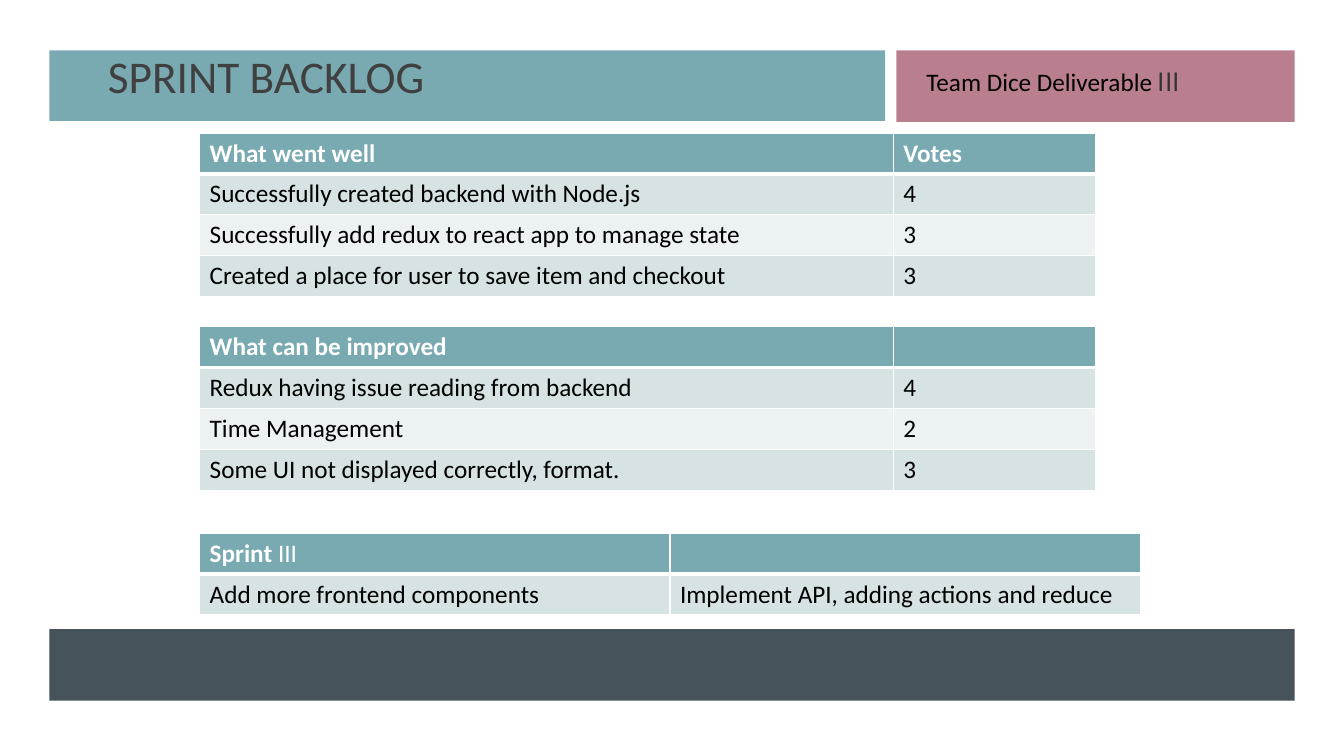
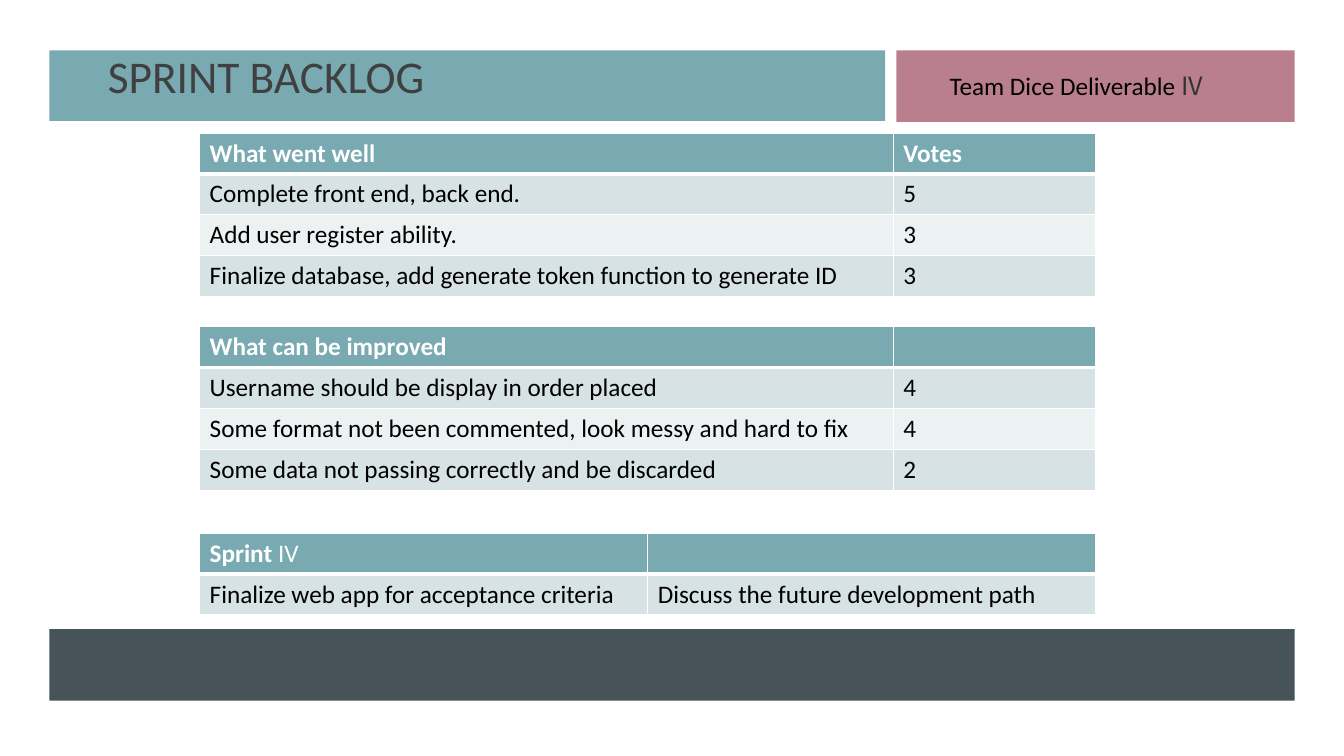
import pptx
import pptx.dml.color
import pptx.enum.shapes
import pptx.enum.text
import pptx.oxml
import pptx.oxml.ns
import pptx.util

Inches, Pt = pptx.util.Inches, pptx.util.Pt

WHITE, BLACK = "FFFFFF", "000000"
TEAL, ROSE, SLATE = "79AAB2", "BA7F8F", "465359"
ROW_FILLS = ["D7E2E4", "ECF1F2"]

# Formats shared by both slides
TITLE = {"size": Pt(32.4), "name": "Calibri", "color": "404040"}
HEAD = {"size": Pt(18), "name": "Calibri", "color": WHITE, "bold": True}
BODY = {"size": Pt(18), "name": "Calibri", "color": BLACK, "bold": False}
HEAD_NUMERAL = {**HEAD, "bold": False}
TAG_NUMERAL = {**BODY, "name": "Noto Sans CJK SC", "color": "333333"}

# Backdrop, title band, tag band and footer band: left, top, width, height, fill
BANDS = [
    (0, 0, 13.33, 7.5, WHITE),
    (0.49, 0.5, 8.29, 0.7, TEAL),
    (8.89, 0.5, 3.95, 0.71, ROSE),
    (0.49, 6.24, 12.35, 0.71, SLATE),
]
TABLE_LEFT = 1.98
VOTE_COLS = [6.88, 2.01]

SPRINTS = [
    {
        "numeral": "III",
        "tag_at": (9.09, 0.61),
        "well": [
            ("Successfully created backend with Node.js", "4"),
            ("Successfully add redux to react app to manage state", "3"),
            ("Created a place for user to save item and checkout", "3"),
        ],
        "improve": [
            ("Redux having issue reading from backend", "4"),
            ("Time Management", "2"),
            ("Some UI not displayed correctly, format.", "3"),
        ],
        "plan": ("Add more frontend components",
                 "Implement API, adding actions and reduce"),
        "plan_width": 9.33,
    },
    {
        "numeral": "IV",
        "tag_at": (9.32, 0.65),
        "well": [
            ("Complete front end, back end.", "5"),
            ("Add user register ability.", "3"),
            ("Finalize database, add generate token function to generate ID", "3"),
        ],
        "improve": [
            ("Username should be display in order placed", "4"),
            ("Some format not been commented, look messy and hard to fix", "4"),
            ("Some data not passing correctly and be discarded", "2"),
        ],
        "plan": ("Finalize web app for acceptance criteria",
                 "Discuss the future development path"),
        "plan_width": 8.89,
    },
]


def rgb(color):
    return pptx.dml.color.RGBColor.from_string(color)


def add_run(p, text, fmt):
    r = p.add_run()
    r.text = text
    for key, value in fmt.items():
        if key == "color":
            r.font.color.rgb = rgb(value)
        else:
            setattr(r.font, key, value)


def add_bands(slide):
    for left, top, width, height, color in BANDS:
        sp = slide.shapes.add_shape(
            pptx.enum.shapes.MSO_SHAPE.RECTANGLE,
            Inches(left), Inches(top), Inches(width), Inches(height))
        sp.shadow.inherit = False
        sp.fill.solid()
        sp.fill.fore_color.rgb = rgb(color)
        sp.line.fill.background()


def place_title(slide, text, left, top, width, height):
    sp = slide.shapes.title
    sp.left, sp.top = Inches(left), Inches(top)
    sp.width, sp.height = Inches(width), Inches(height)
    # Bring the title in front of its band
    sp.element.getparent().append(sp.element)
    tf = sp.text_frame
    tf.auto_size = pptx.enum.text.MSO_AUTO_SIZE.NONE
    tf.vertical_anchor = pptx.enum.text.MSO_ANCHOR.BOTTOM
    p = tf.paragraphs[0]
    p.alignment = pptx.enum.text.PP_ALIGN.LEFT
    p.line_spacing = 0.9
    add_run(p, text, TITLE)


def add_tag(slide, numeral, left, top):
    sp = slide.shapes.add_textbox(
        Inches(left), Inches(top), Inches(3.04), Inches(0.71))
    tf = sp.text_frame
    tf.word_wrap = True
    p = tf.paragraphs[0]
    add_run(p, "Team Dice Deliverable ", BODY)
    add_run(p, numeral, TAG_NUMERAL)


def set_borders(cell, widths):
    """Draw white cell borders; widths maps L, R, T, B to points."""
    tc_pr = cell._tc.get_or_add_tcPr()
    for i, (side, width) in enumerate(widths.items()):
        tc_pr.insert(i, pptx.oxml.parse_xml(
            f'<a:ln{side} {pptx.oxml.ns.nsdecls("a")} w="{Pt(width)}">'
            f'<a:solidFill><a:srgbClr val="{WHITE}"/></a:solidFill>'
            f'</a:ln{side}>'))


def add_grid(slide, top, cols, rows):
    """Add a table; each cell is a list of (text, format) runs."""
    shape = slide.shapes.add_table(
        len(rows), len(cols), Inches(TABLE_LEFT), Inches(top),
        Inches(sum(cols)), Inches(0.81) * len(rows) // 2)
    table = shape.table
    for column, width in zip(table.columns, cols):
        column.width = Inches(width)
    for i, row in enumerate(rows):
        for j, runs in enumerate(row):
            cell = table.cell(i, j)
            cell.fill.solid()
            cell.fill.fore_color.rgb = rgb(ROW_FILLS[(i - 1) % 2] if i else TEAL)
            # A thick rule separates the header from the first row
            set_borders(cell, {"L": 1, "R": 1, "T": 3 if i == 1 else 1,
                               "B": 3 if i == 0 else 1})
            for text, fmt in runs:
                add_run(cell.text_frame.paragraphs[0], text, fmt)


def body_row(texts):
    return [[(text, BODY)] for text in texts]


def add_sprint_slide(prs, sprint):
    slide = prs.slides.add_slide(prs.slide_layouts[5])
    add_bands(slide)
    place_title(slide, "SPRINT BACKLOG", 0.97, 0.61, 6.06, 0.47)

    # Vote tables
    add_grid(slide, 1.32, VOTE_COLS,
             [[[("What went well", HEAD)], [("Votes", HEAD)]],
              *map(body_row, sprint["well"])])
    add_grid(slide, 3.24, VOTE_COLS,
             [[[("What can be improved", HEAD)], []],
              *map(body_row, sprint["improve"])])

    # Sprint plan
    add_grid(slide, 5.29, [sprint["plan_width"] / 2] * 2,
             [[[("Sprint ", HEAD), (sprint["numeral"], HEAD_NUMERAL)], []],
              body_row(sprint["plan"])])

    add_tag(slide, sprint["numeral"], *sprint["tag_at"])


def main():
    prs = pptx.Presentation()
    prs.slide_width, prs.slide_height = Inches(13.33), Inches(7.5)
    for sprint in SPRINTS:
        add_sprint_slide(prs, sprint)
    prs.save("out.pptx")


if __name__ == "__main__":
    main()
